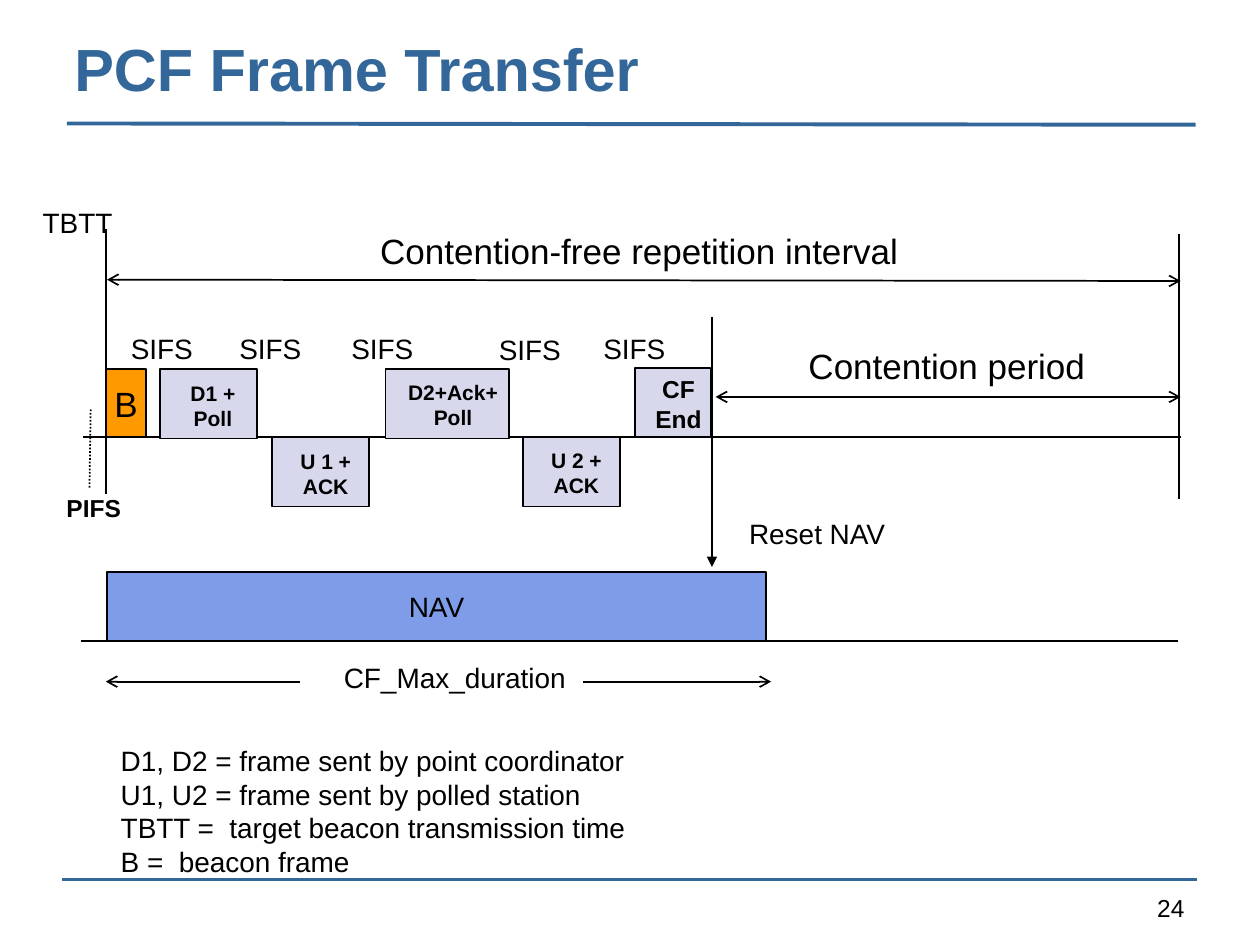
from pptx import Presentation
from pptx.dml.color import RGBColor
from pptx.enum.dml import MSO_LINE
from pptx.enum.shapes import MSO_CONNECTOR, MSO_SHAPE
from pptx.enum.text import MSO_ANCHOR, MSO_AUTO_SIZE, PP_ALIGN
from pptx.oxml.ns import qn
from pptx.util import Pt
from lxml import etree

PX = 9144  # EMU per px, 100 px to the inch
STRAIGHT, RECT = MSO_CONNECTOR.STRAIGHT, MSO_SHAPE.RECTANGLE
LEFT, CENTER, RIGHT = PP_ALIGN.LEFT, PP_ALIGN.CENTER, PP_ALIGN.RIGHT
MIDDLE, TOP, BOTTOM = MSO_ANCHOR.MIDDLE, MSO_ANCHOR.TOP, MSO_ANCHOR.BOTTOM
DOTTED = MSO_LINE.ROUND_DOT
FIXED = MSO_AUTO_SIZE.NONE

BLACK = RGBColor(0x00, 0x00, 0x00)
TITLE_BLUE = RGBColor(0x33, 0x66, 0x99)
FRAME_LILAC = RGBColor(0xD8, 0xD8, 0xEC)
BEACON_ORANGE = RGBColor(0xFF, 0x99, 0x00)
NAV_BLUE = RGBColor(0x7E, 0x9C, 0xE8)


def emu(*lengths):
    return [length * PX for length in lengths]


def write(frame, text, size, color=BLACK, bold=False, align=CENTER,
          anchor=MIDDLE, wrap=False):
    frame.text = text
    layout = {"word_wrap": wrap, "vertical_anchor": anchor, "auto_size": FIXED}
    for key, value in layout.items():
        setattr(frame, key, value)
    for paragraph in frame.paragraphs:
        paragraph.alignment = align
        font_format = {"name": "Arial", "size": Pt(size), "bold": bold}
        for key, value in font_format.items():
            setattr(paragraph.font, key, value)
        paragraph.font.color.rgb = color


def add_label(slide, box, text, size, **style):
    label = slide.shapes.add_textbox(*emu(*box))
    write(label.text_frame, text, size, **style)


def add_block(slide, box, fill, text="", size=16):
    block = slide.shapes.add_shape(RECT, *emu(*box))
    block.shadow.inherit = False
    block.fill.solid()
    block.fill.fore_color.rgb = fill
    block.line.color.rgb = BLACK
    block.line.width = Pt(1)
    if text:
        write(block.text_frame, text, size)


def add_line(slide, start, end, color=BLACK, width=1, dash=None,
             head=None, tail=None):
    line = slide.shapes.add_connector(STRAIGHT, *emu(*start, *end))
    line.line.color.rgb = color
    line.line.width = Pt(width)
    if dash:
        line.line.dash_style = dash
    properties = line._element.spPr
    outline = properties.find(qn("a:ln"))
    for tag, arrowhead in (("a:headEnd", head), ("a:tailEnd", tail)):
        if arrowhead:
            etree.SubElement(outline, qn(tag), type=arrowhead)
    etree.SubElement(properties, qn("a:effectLst"))


def build_header(slide, box):
    left, top, width, height = box
    title = slide.shapes.title
    title.left, title.top, title.width, title.height = emu(left, top, width, height)
    write(title.text_frame, "PCF Frame Transfer", 34, TITLE_BLUE, bold=True,
          align=LEFT, anchor=BOTTOM, wrap=True)
    rule = top + height + 11
    add_line(slide, (left + 4, rule), (left + width - 2, rule + 1), TITLE_BLUE, 2.25)


def build_timeline(slide, box):
    left, top, width, height = box
    right = left + width
    baseline = top + 165
    frame_height = 55
    frame_top = baseline - frame_height + 1

    # Interval, baseline and contention period
    add_line(slide, (left + 1, top + 40), (right + 1, top + 41),
             head="arrow", tail="arrow")
    add_line(slide, (left - 18, baseline), (right + 1, baseline))
    period_start = left + 484
    add_line(slide, (period_start, top + 133), (right + 1, top + 133),
             head="arrow", tail="arrow")

    # Interval bounds and PIFS gap
    add_line(slide, (left, top), (left, top + height))
    add_line(slide, (right, top + 4), (right, top + height + 4))
    add_line(slide, (left - 12, top + 143), (left - 13, top + 206), dash=DOTTED)

    # Frames: downlink above the baseline, uplink below it
    add_block(slide, (left, frame_top, 32, 54), BEACON_ORANGE, "B", 20)
    frames = [
        # x, y, width, text, text dx, text dy, text width, text height, size
        (43, frame_top, 77, "D1 + Poll", 5, 4, 74, 50, 12),
        (132, baseline, 77, "U 1 + ACK", 5, 4, 75, 50, 12),
        (222, frame_top, 98, "D2+Ack+Poll", 6, 3, 95, 50, 12),
        (331, baseline, 77, "U 2 + ACK", 5, 3, 75, 50, 12),
        (420, frame_top - 1, 60, "CF End", 3, 0, 63, 57, 14),
    ]
    for x, y, frame_width, text, dx, dy, text_width, text_height, size in frames:
        add_block(slide, (left + x, y, frame_width, frame_height), FRAME_LILAC)
        add_label(slide, (left + x + dx, y + dy, text_width, text_height),
                  text, size, bold=True, wrap=True)

    # NAV reset at the end of the contention-free period
    reset = left + 481
    add_line(slide, (reset, top + 70), (reset, top + 268), tail="triangle")
    add_label(slide, (reset + 19, top + 223, 129, 37), "Reset NAV", 16)

    # Labels
    for x, y in ((10, 76), (96, 76), (185, 76), (302, 77), (385, 76)):
        add_label(slide, (left + x, top + y, 69, 37), "SIFS", 16)
    add_label(slide, (left - 60, top - 24, 75, 37), "TBTT", 16)
    add_label(slide, (left - 41, top + 204, 63, 34), "PIFS", 14, bold=True)
    add_label(slide, (left + 208, top - 5, 431, 44),
              "Contention-free repetition interval", 20)
    add_label(slide, (left + 548, top + 86, 239, 44), "Contention period", 20)


def build_nav(slide, box):
    left, top, width, height = box
    bottom = top + height
    add_line(slide, (left - 21, bottom), (left + 850, bottom))
    add_block(slide, box, NAV_BLUE, "NAV")

    # Maximum duration, with an arrow to each end
    duration = bottom + 32
    add_label(slide, (left + 178, bottom + 10, 196, 37), "CF_Max_duration", 16)
    add_line(slide, (left + 153, duration), (left - 1, duration), tail="arrow")
    add_line(slide, (left + 378, duration), (left + width + 4, duration), tail="arrow")


def build_legend(slide, box):
    entries = ["D1, D2 = frame sent by point coordinator",
               "U1, U2 = frame sent by polled station",
               "TBTT =  target beacon transmission time",
               "B =  beacon frame"]
    add_label(slide, box, "\n".join(entries), 16, align=LEFT)


def build_footer(slide, box):
    left, top, width, height = box
    right = left + width
    add_line(slide, (left, top), (right, top), TITLE_BLUE, 1.5)
    add_label(slide, (right - 233, top + 6, 233, height - 6), "24", 14,
              align=RIGHT, anchor=TOP, wrap=True)


def main():
    deck = Presentation()
    deck.slide_width, deck.slide_height = emu(1000, 750)
    slide = deck.slides.add_slide(deck.slide_layouts[5])
    build_header(slide, (49, 19, 902, 68))
    build_footer(slide, (49, 698, 901, 35))
    build_timeline(slide, (84, 182, 852, 210))
    build_nav(slide, (85, 454, 523, 55))
    build_legend(slide, (86, 585, 421, 117))
    deck.save("out.pptx")


if __name__ == "__main__":
    main()
